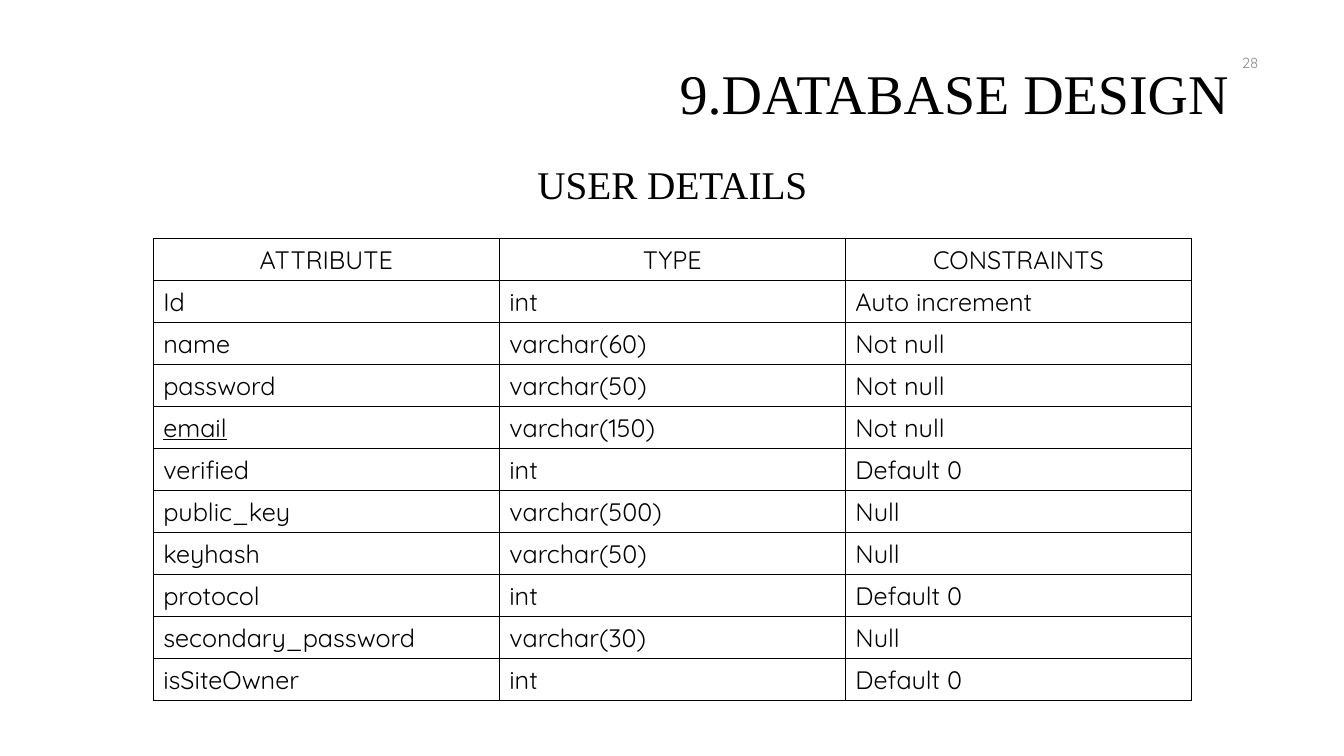
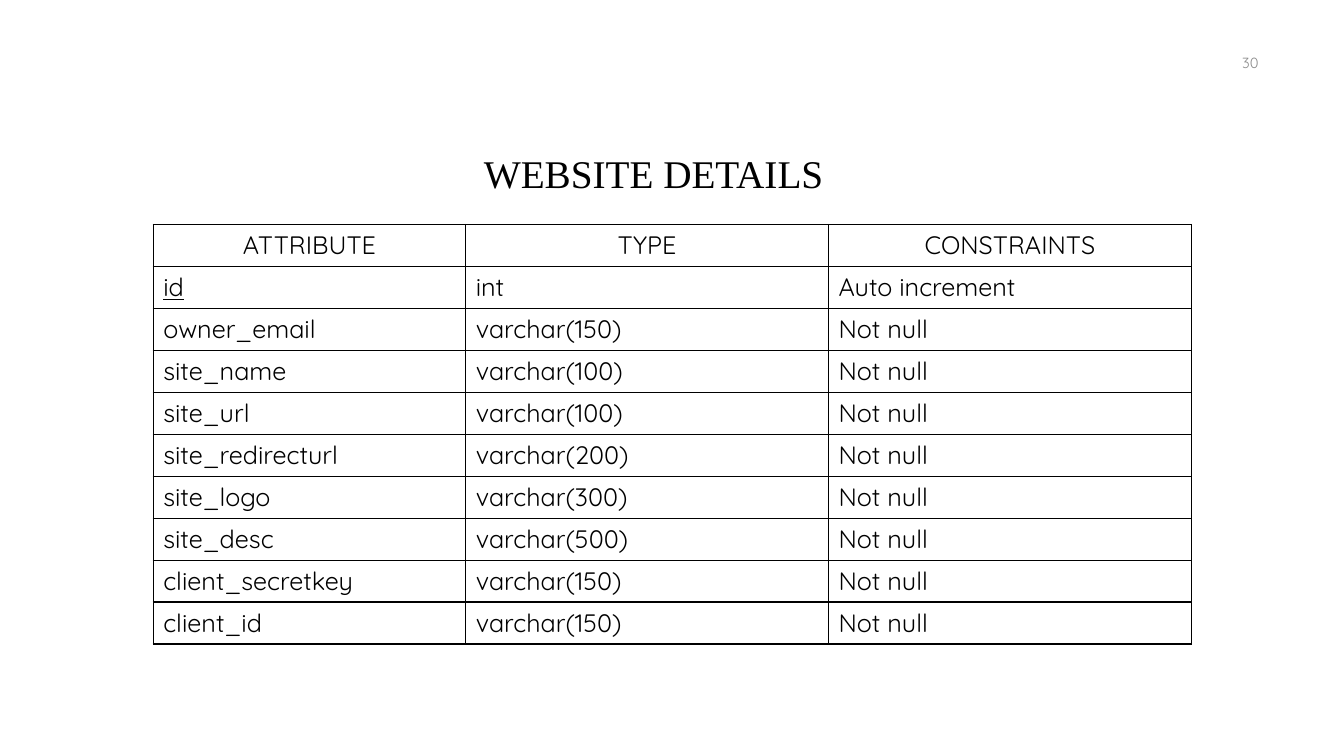
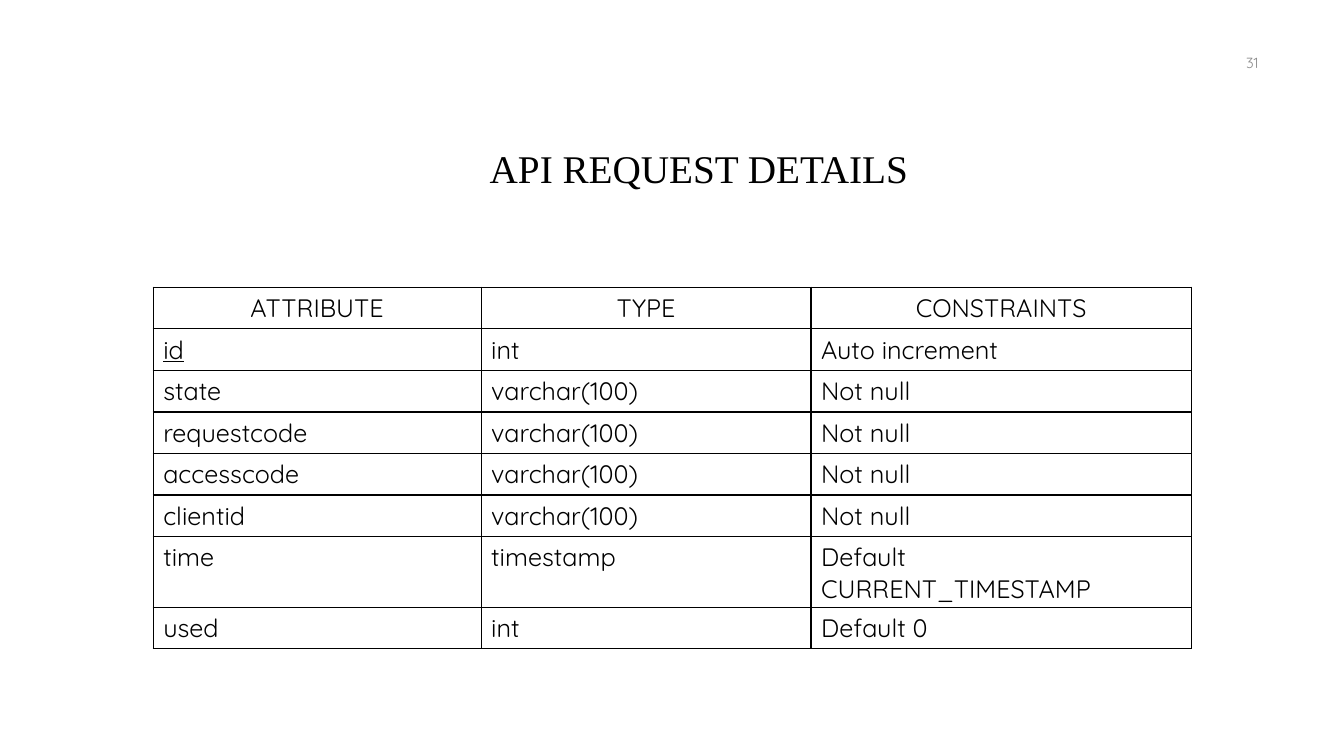
import lxml.etree
import pptx
import pptx.dml.color
import pptx.enum.text
import pptx.oxml
import pptx.oxml.ns
import pptx.util

ALIGN = pptx.enum.text.PP_ALIGN
MIDDLE = pptx.enum.text.MSO_ANCHOR.MIDDLE
WIDTH, HEIGHT = pptx.util.Inches(13.33), pptx.util.Inches(7.5)
SERIF, SANS = "Times New Roman", "Quicksand"
BLACK, GREY = "000000", "8C8C8C"
HEADER = ("ATTRIBUTE", "TYPE", "CONSTRAINTS")
TABLE_LEFT, TABLE_WIDTH = 11.4, 77.25

USER_ROWS = [
    ("Id", "int", "Auto increment"),
    ("name", "varchar(60)", "Not null"),
    ("password", "varchar(50)", "Not null"),
    ("email", "varchar(150)", "Not null"),
    ("verified", "int", "Default 0"),
    ("public_key", "varchar(500)", "Null"),
    ("keyhash", "varchar(50)", "Null"),
    ("protocol", "int", "Default 0"),
    ("secondary_password", "varchar(30)", "Null"),
    ("isSiteOwner", "int", "Default 0"),
]
WEBSITE_ROWS = [
    ("id", "int", "Auto increment"),
    ("owner_email", "varchar(150)", "Not null"),
    ("site_name", "varchar(100)", "Not null"),
    ("site_url", "varchar(100)", "Not null"),
    ("site_redirecturl", "varchar(200)", "Not null"),
    ("site_logo", "varchar(300)", "Not null"),
    ("site_desc", "varchar(500)", "Not null"),
    ("client_secretkey", "varchar(150)", "Not null"),
    ("client_id", "varchar(150)", "Not null"),
]
REQUEST_ROWS = [
    ("id", "int", "Auto increment"),
    ("state", "varchar(100)", "Not null"),
    ("requestcode", "varchar(100)", "Not null"),
    ("accesscode", "varchar(100)", "Not null"),
    ("clientid", "varchar(100)", "Not null"),
    ("time", "timestamp", "Default CURRENT_TIMESTAMP"),
    ("used", "int", "Default 0"),
]


def color(value):
    """Turn a hex string into a colour."""
    return pptx.dml.color.RGBColor.from_string(value)


def area(left, top, width, height):
    """Turn percentages of the slide's size into lengths."""
    shares = ((left, WIDTH), (top, HEIGHT), (width, WIDTH), (height, HEIGHT))
    return [int(share * full / 100) for share, full in shares]


def write(frame, text, size, font, align, tint=BLACK, underline=None):
    """Put one styled paragraph in a text frame."""
    frame.text = text
    para = frame.paragraphs[0]
    para.alignment = align
    para.font.size = pptx.util.Pt(size)
    para.font.name = font
    para.font.color.rgb = color(tint)
    para.font.underline = underline
    return para


def write_heading(box, text, size, align):
    """Write a serif heading, centred vertically in its box."""
    box.text_frame.word_wrap = True
    box.text_frame.vertical_anchor = MIDDLE
    write(box.text_frame, text, size, SERIF, align).line_spacing = 0.9


def add_page(deck, number, title, place, align):
    """Add a slide with its title and page number."""
    page = deck.slides.add_slide(deck.slide_layouts[5])
    box = page.shapes.title
    box.left, box.top, box.width, box.height = area(*place)
    write_heading(box, title, 28, align)
    frame = page.shapes.add_textbox(*area(71.88, 5.6, 22.5, 5.33)).text_frame
    frame.word_wrap = True
    frame.vertical_anchor = MIDDLE
    write(frame, str(number), 10.5, SANS, ALIGN.RIGHT, GREY)
    return page


def outline(cell):
    """Draw a thin black border on each side of a cell."""
    properties = cell._tc.get_or_add_tcPr()
    for index, side in enumerate(("lnL", "lnR", "lnT", "lnB")):
        line = pptx.oxml.parse_xml(
            f'<a:{side} {pptx.oxml.ns.nsdecls("a")} w="{pptx.util.Pt(1)}">'
            f'<a:solidFill><a:srgbClr val="{BLACK}"/></a:solidFill></a:{side}>')
        properties.insert(index, line)


def add_schema(page, top, height, weights, rows, key):
    """Add a bordered table of attributes with the key underlined."""
    lines = [HEADER, *rows]
    place = area(TABLE_LEFT, top, TABLE_WIDTH, height)
    table = page.shapes.add_table(len(lines), len(HEADER), *place).table
    table.first_row = table.horz_banding = False
    for column, weight in zip(table.columns, weights):
        column.width = int(place[2] * weight / sum(weights))
    for row_index, line in enumerate(lines):
        table.rows[row_index].height = place[3] // len(lines)
        align = ALIGN.LEFT if row_index else ALIGN.CENTER
        for column_index, text in enumerate(line):
            cell = table.cell(row_index, column_index)
            cell.fill.background()
            outline(cell)
            underline = True if text == key else None
            write(cell.text_frame, text, 18, SANS, align, underline=underline)


def main():
    """Build and save the deck."""
    deck = pptx.Presentation()
    deck.slide_width, deck.slide_height = WIDTH, HEIGHT

    page = add_page(deck, 28, "USER DETAILS", (6.9, 15.1, 86.25, 19.3), ALIGN.CENTER)
    add_schema(page, 31.6, 61.1, (1, 1, 1), USER_ROWS, "email")
    section = page.shapes.add_textbox(*area(5.9, 3.1, 86.25, 19.3))
    write_heading(section, "9.DATABASE DESIGN", 40, ALIGN.RIGHT)

    page = add_page(deck, 30, "WEBSITE DETAILS", (35.25, 19.5, 30, 7.6), ALIGN.LEFT)
    add_schema(page, 29.7, 55.5, (3.1, 3.6, 3.6), WEBSITE_ROWS, "id")

    page = add_page(deck, 31, "API REQUEST DETAILS", (31.7, 13.2, 36.6, 18.8), ALIGN.RIGHT)
    add_schema(page, 38, 44, (3.25, 3.27, 3.77), REQUEST_ROWS, "id")

    deck.save("out.pptx")


if __name__ == "__main__":
    main()
